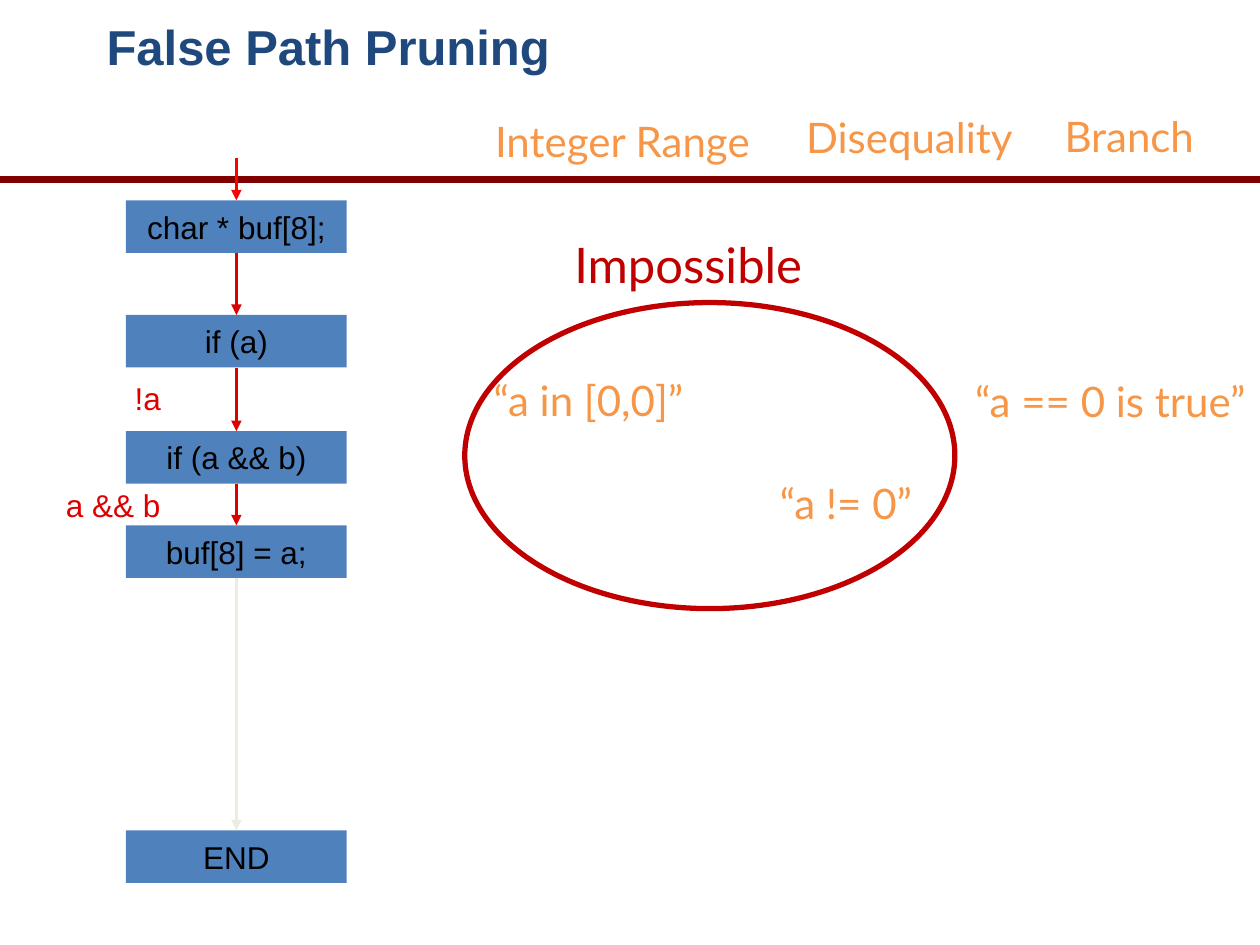
from lxml import etree
from pptx import Presentation
from pptx.dml.color import RGBColor
from pptx.enum.shapes import MSO_CONNECTOR, MSO_SHAPE
from pptx.enum.text import MSO_ANCHOR, PP_ALIGN
from pptx.oxml.ns import qn
from pptx.util import Cm, Pt

RECT, OVAL = MSO_SHAPE.RECTANGLE, MSO_SHAPE.OVAL
LINE = MSO_CONNECTOR.STRAIGHT
LEFT, MID = PP_ALIGN.LEFT, PP_ALIGN.CENTER
TOP, MIDDLE = MSO_ANCHOR.TOP, MSO_ANCHOR.MIDDLE

COLORS = {
    "rule": "800000", "box": "4F81BD", "ink": "000000", "title": "1F497D",
    "start": "FF0000", "path": "DE0000", "faint": "EEECE1",
    "fact": "F79646", "clash": "C00000",
}


class Deck:
    code_font = "Arial"
    fact_font = "Lato"

    def __init__(self):
        self.prs = Presentation()
        self.prs.slide_width, self.prs.slide_height = Cm(25.4), Cm(19.05)
        self.slide = self.prs.slides.add_slide(self.prs.slide_layouts[6])
        self.shapes = self.slide.shapes

    def color(self, name):
        return RGBColor.from_string(COLORS[name])

    def label(self, frame, text, size, color, font, align=LEFT,
              anchor=TOP, bold=False, wrap=False):
        frame.word_wrap = wrap
        frame.vertical_anchor = anchor
        para = frame.paragraphs[0]
        para.alignment = align
        run = para.add_run()
        run.text = text
        run.font.size, run.font.name, run.font.bold = Pt(size), font, bold
        run.font.color.rgb = self.color(color)

    def text(self, area, text, size, color, font, **style):
        box = self.shapes.add_textbox(*map(Cm, area))
        self.label(box.text_frame, text, size, color, font, **style)

    def box(self, area, text):
        box = self.shapes.add_shape(RECT, *map(Cm, area))
        box.shadow.inherit = False
        box.fill.solid()
        box.fill.fore_color.rgb = self.color("box")
        box.line.fill.background()
        self.label(box.text_frame, text, 18, "ink", self.code_font,
                   align=MID, anchor=MIDDLE)

    def ring(self, area, color, width):
        ring = self.shapes.add_shape(OVAL, *map(Cm, area))
        ring.shadow.inherit = False
        ring.fill.background()
        ring.line.color.rgb = self.color(color)
        ring.line.width = Pt(width)

    def line(self, ends, color, width, arrow=False):
        line = self.shapes.add_connector(LINE, *map(Cm, ends))
        line.line.color.rgb = self.color(color)
        line.line.width = Pt(width)
        props = line._element.spPr
        if arrow:
            etree.SubElement(props.find(qn("a:ln")), qn("a:tailEnd"), type="triangle")
        etree.SubElement(props, qn("a:effectLst"))

    def save(self):
        self.prs.save("out.pptx")


def main():
    deck = Deck()
    deck.line((0, 3.61, 25.4, 3.61), "rule", 4)

    left, wide, high = 2.54, 4.45, 1.06
    center = left + wide / 2
    steps = [
        (4.04, "char * buf[8];", "start"),
        (6.35, "if (a)", "path"),
        (8.69, "if (a && b)", "path"),
        (10.59, "buf[8] = a;", "path"),
        (16.74, "END", "faint"),
    ]
    above = 3.18
    for top, code, color in steps:
        deck.box((left, top, wide, high), code)
        deck.line((center, above, center, top), color, 2, arrow=True)
        above = top + high

    deck.text((2.46, 7.52, 1.04, 1.02), "!a", 18, "path", deck.code_font, align=MID)
    deck.text((0.86, 9.68, 2.84, 1.02), "a && b", 18, "path", deck.code_font,
              align=MID, wrap=True)
    deck.text((1.9, 0.2, 21.59, 3.18), "False Path Pruning", 28, "title",
              deck.code_font, bold=True, wrap=True)

    facts = [
        (9.7, 7.42, 4.93, "“a in [0,0]”"),
        (19.41, 7.44, 6.45, "“a == 0 is true”"),
        (15.47, 9.5, 3.61, "“a != 0”"),
        (9.73, 2.21, 5.82, "Integer Range"),
        (16, 2.13, 4.75, "Disequality"),
        (21.21, 2.11, 3.15, "Branch"),
    ]
    for x, y, width, fact in facts:
        deck.text((x, y, width, 1.27), fact, 24, "fact", deck.fact_font)

    deck.ring((9.37, 6.1, 9.88, 6.17), "clash", 3)
    deck.text((11.33, 4.6, 5.16, 1.45), "Impossible", 28, "clash", deck.fact_font)
    deck.save()


if __name__ == "__main__":
    main()
